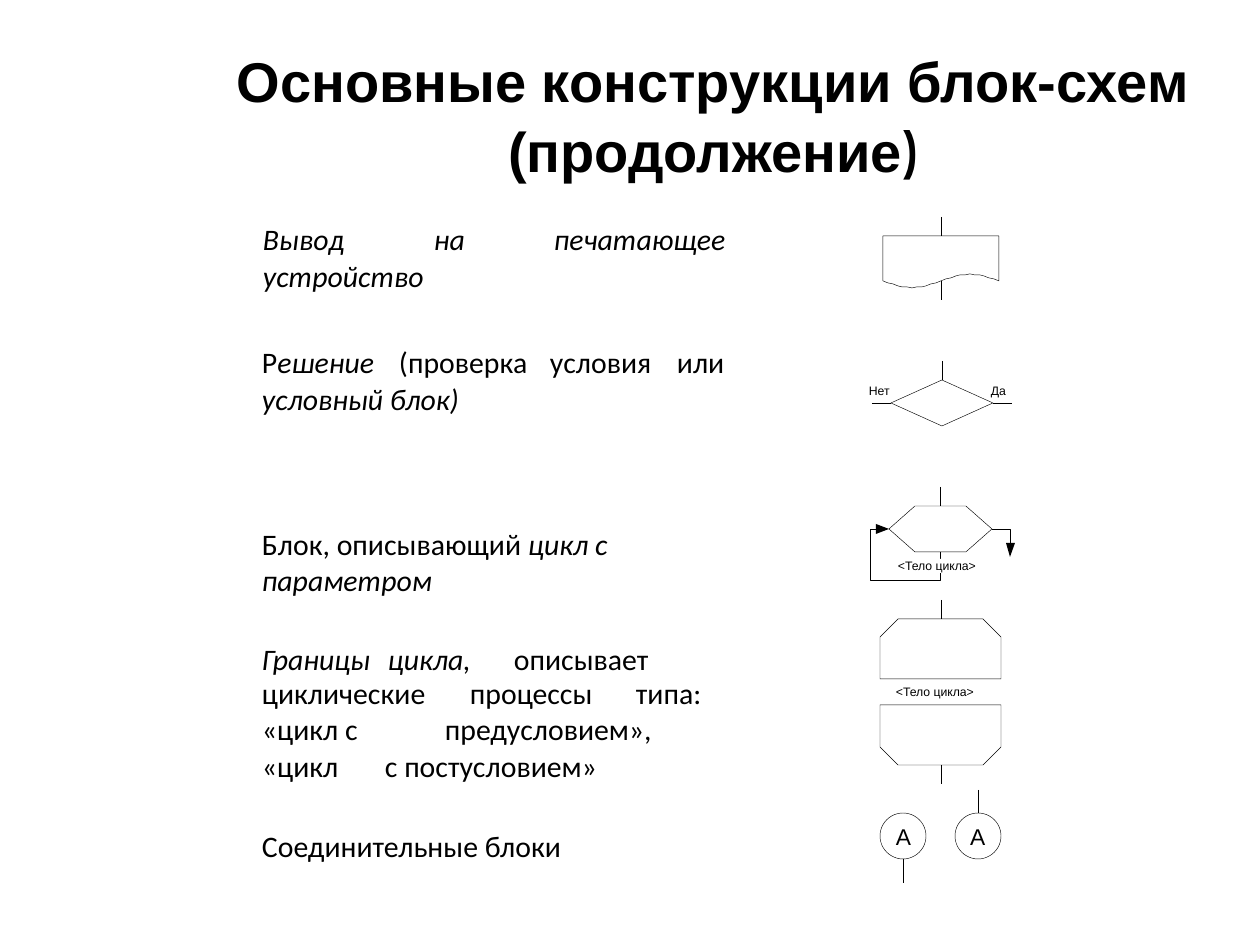
from math import pi, sin

from lxml.etree import SubElement
from pptx import Presentation
from pptx.dml.color import RGBColor
from pptx.enum.shapes import MSO_CONNECTOR, MSO_SHAPE as Preset
from pptx.enum.text import PP_ALIGN
from pptx.oxml.ns import qn
from pptx.util import Emu, Pt

SCALE = 914400 / 126
COLORS = {"ink": "000000", "paper": "FFFFFF"}
HAIRLINE = 0.25

TITLE = [("Основные конструкции блок-схем\v(продолжение", "Arial"), (")", "Cabin")]
TITLE_BOX = (44, 35, 1191, 144)

CAPTIONS = [
    ((262, 220, 464, 73), 1.03, [
        ([("Вывод\tна\tпечатающее устройство", True)], (171, 291), 0)]),
    ((261, 344, 268, 107), 1, [
        ([("Р", False), ("ешение\t", True), ("(проверка", False)], (137,), 0),
        ([("условный блок)", True)], (), 0.3)]),
    ((549, 344, 176, 35), 1, [
        ([("условия\tили", False)], (127,), 0)]),
    ((261, 525, 464, 150), 1.01, [
        ([("Блок, описывающий ", False), ("цикл с параметром", True)], (), 0),
        ([("Границы\tцикла,\t", True), ("описывает", False)], (126, 252), 24.5)]),
    ((261, 674, 464, 110), 1.02, [
        ([("циклические\tпроцессы\tтипа:", False)], (208, 374), 0),
        ([("«цикл с\tпредусловием»,", False)], (183,), 0),
        ([("«цикл\tс постусловием»", False)], (123,), 0)]),
    ((261, 828, 305, 35), 1, [
        ([("Соединительные блоки", False)], (), 0)]),
]

LABELS = [
    ("Нет", (868, 383, 26, 15), 7),
    ("Да", (990, 383, 20, 15), 7),
    ("<Тело цикла>", (897, 558, 88, 15), 7),
    ("<Тело цикла>", (895, 684, 88, 15), 7),
    ("А", (969, 823, 19, 28), 13),
    ("А", (895, 823, 19, 28), 13),
]
LABEL_BACKS = [(895, 559, 98, 14), (892, 686, 98, 14)]

BLOCKS = [
    (Preset.DIAMOND, (891, 380, 102, 46), ()),
    (Preset.SNIP_2_SAME_RECTANGLE, (880, 619, 121, 60), (0.3, 0)),
    (Preset.SNIP_2_SAME_RECTANGLE, (880, 705, 121, 60), (0, 0.3)),
    (Preset.OVAL, (955, 813, 46, 46), ()),
    (Preset.OVAL, (880, 813, 46, 46), ()),
]

WAVE_STEPS = 24
DOCUMENT = [(883, 236), (999, 236)] + [
    (999 - 116 * i / WAVE_STEPS, 281 - 6.5 * sin(2 * pi * i / WAVE_STEPS))
    for i in range(WAVE_STEPS + 1)]
PREPARATION = [(966, 506), (915, 506), (889, 529), (915, 552), (966, 552), (992, 529)]
LOOP_BACK = [(940, 552), (940, 580), (870, 580), (870, 529), (877, 529)]
LOOP_EXIT = [(992, 529), (1010, 529), (1010, 544)]
ARROWHEADS = [
    [(876, 524), (876, 534), (889, 529)],
    [(1015, 543), (1006, 543), (1010, 557)],
]

STEMS = [
    (941, 217, 941, 236), (941, 281, 941, 300),
    (942, 361, 942, 380), (872, 403, 891, 403), (993, 403, 1012, 403),
    (940, 487, 940, 506),
    (941, 600, 941, 619), (941, 765, 941, 784),
    (978, 790, 978, 813), (903, 859, 903, 883),
]


def px(value):
    return Emu(round(value * SCALE))


def color(key):
    return RGBColor.from_string(COLORS[key])


def paint(shape, fill=None, outlined=True):
    shape.shadow.inherit = False
    if fill:
        shape.fill.solid()
        shape.fill.fore_color.rgb = color(fill)
    else:
        shape.fill.background()
    if outlined:
        shape.line.color.rgb = color("ink")
        shape.line.width = Pt(HAIRLINE)
    else:
        shape.line.fill.background()


def add_outline(shapes, points, closed=True, **look):
    builder = shapes.build_freeform(*points[0], scale=SCALE)
    builder.add_line_segments(points[1:], close=closed)
    paint(builder.convert_to_shape(), **look)


def add_preset(shapes, preset, box, adjustments=(), **look):
    shape = shapes.add_shape(preset, *map(px, box))
    for index, value in enumerate(adjustments):
        shape.adjustments[index] = value
    paint(shape, "paper", **look)


def add_stem(shapes, ends):
    stem = shapes.add_connector(MSO_CONNECTOR.STRAIGHT, *map(px, ends))
    stem.line.color.rgb = color("ink")
    stem.line.width = Pt(HAIRLINE)
    SubElement(stem._element.spPr, qn("a:effectLst"))


def add_frame(shapes, box, left=1, top=0, wrap=True):
    frame = shapes.add_textbox(*map(px, box)).text_frame
    frame.word_wrap = wrap
    frame.margin_left, frame.margin_top = px(left), px(top)
    frame.margin_right = frame.margin_bottom = 0
    return frame


def set_font(paragraph, size, name=None):
    paragraph.font.size = Pt(size)
    paragraph.font.color.rgb = color("ink")
    if name:
        paragraph.font.name = name


def add_title(shapes):
    heading = add_frame(shapes, TITLE_BOX, 147, 9).paragraphs[0]
    heading.alignment = PP_ALIGN.CENTER
    heading.line_spacing = 1.04
    set_font(heading, 32)
    heading.font.bold = True
    for text, font_name in TITLE:
        for index, part in enumerate(text.split("\v")):
            if index:
                heading.add_line_break()
            run = heading.add_run()
            run.text = part
            run.font.name = font_name


def add_caption(shapes, box, spacing, lines):
    frame = add_frame(shapes, box)
    for index, (runs, stops, before) in enumerate(lines):
        line = frame.add_paragraph() if index else frame.paragraphs[0]
        if stops:
            tabs = SubElement(line._p.get_or_add_pPr(), qn("a:tabLst"))
            for stop in stops:
                SubElement(tabs, qn("a:tab"), pos=str(px(stop)), algn="l")
        line.line_spacing = spacing
        if before:
            line.space_before = Pt(before)
        set_font(line, 17, "Calibri")
        for text, italic in runs:
            run = line.add_run()
            run.text = text
            run.font.italic = italic


def main():
    deck = Presentation()
    deck.slide_width, deck.slide_height = px(1260), px(945)
    shapes = deck.slides.add_slide(deck.slide_layouts[6]).shapes

    add_title(shapes)
    for caption in CAPTIONS:
        add_caption(shapes, *caption)
    for block in BLOCKS:
        add_preset(shapes, *block)
    for points in (DOCUMENT, PREPARATION):
        add_outline(shapes, points, fill="paper")
    for points in (LOOP_BACK, LOOP_EXIT):
        add_outline(shapes, points, closed=False)
    for points in ARROWHEADS:
        add_outline(shapes, points, fill="ink", outlined=False)
    for ends in STEMS:
        add_stem(shapes, ends)
    for box in LABEL_BACKS:
        add_preset(shapes, Preset.RECTANGLE, box, outlined=False)
    for text, box, size in LABELS:
        label = add_frame(shapes, box, wrap=False).paragraphs[0]
        label.text = text
        set_font(label, size, "Arial")
    deck.save("out.pptx")


if __name__ == "__main__":
    main()
